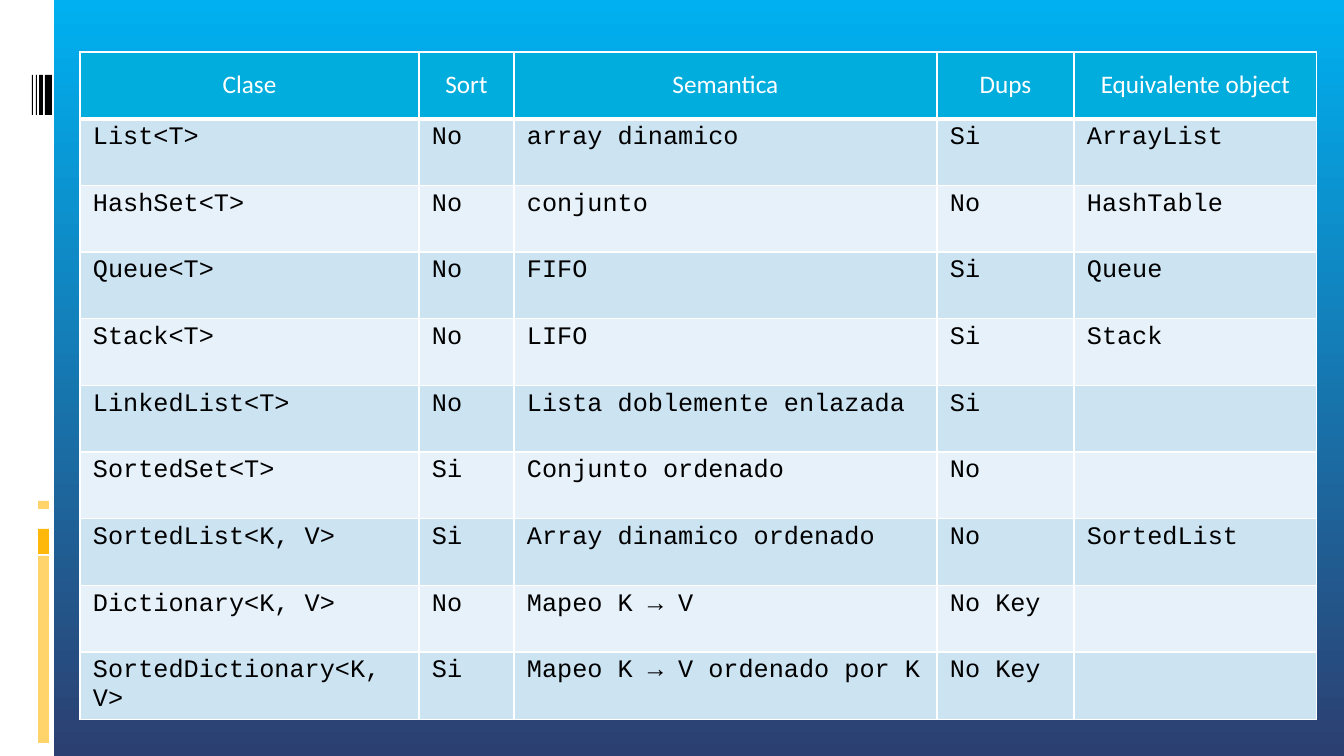
from pptx import Presentation, util as u
from pptx.dml.color import RGBColor
from pptx.enum import shapes, text
from pptx.oxml import parse_xml
from pptx.oxml.ns import nsdecls

WHITE, BLACK, GOLD, AMBER = "FFFFFF", "000000", "FED46B", "FEB80A"
HEAD, BANDS = "00ADDC", ("CCE3F2", "E7F1F9")
COLS = (339, 95, 423, 137, 243)
ROWS = (
    ("Clase", "Sort", "Semantica", "Dups", "Equivalente object"),
    ("List<T>", "No", "array dinamico", "Si", "ArrayList"),
    ("HashSet<T>", "No", "conjunto", "No", "HashTable"),
    ("Queue<T>", "No", "FIFO", "Si", "Queue"),
    ("Stack<T>", "No", "LIFO", "Si", "Stack"),
    ("LinkedList<T>", "No", "Lista doblemente enlazada", "Si", ""),
    ("SortedSet<T>", "Si", "Conjunto ordenado", "No", ""),
    ("SortedList<K, V>", "Si", "Array dinamico ordenado", "No", "SortedList"),
    ("Dictionary<K, V>", "No", "Mapeo K → V", "No Key", ""),
    ("SortedDictionary<K, V>", "Si", "Mapeo K → V ordenado por K", "No Key", ""),
)


def px(n):
    return u.Inches(n / 100.8)


def paint(color, code):
    color.rgb = RGBColor.from_string(code)


def write(frame, words, font, color, size=18, align=text.PP_ALIGN.LEFT):
    para = frame.paragraphs[0]
    para.alignment = align
    if words:
        run = para.add_run()
        run.text = words
        run.font.name, run.font.size = font, u.Pt(size)
        paint(run.font.color, color)


def bar(slide, left, top, width, height, color):
    box = slide.shapes.add_shape(
        shapes.MSO_SHAPE.RECTANGLE, px(left), px(top), px(width), px(height))
    box.shadow.inherit = False
    box.fill.solid()
    paint(box.fill.fore_color, color)
    box.line.fill.background()


def backdrop(slide):
    fill = slide.background.fill
    fill.gradient()
    fill.gradient_angle = 270
    for stop, code in zip(fill.gradient_stops, ("00B0F0", "2C3F71")):
        paint(stop.color, code)


def side(slide, left, top, width, height):
    bar(slide, left, top, width, height, WHITE)
    for y, tall, color in ((556, 187, GOLD), (529, 25, AMBER),
                           (511, 15, WHITE), (501, 8, GOLD)):
        bar(slide, left + 38, top + y, 11, tall, color)
    for x, wide in ((45, 7), (39, 4), (36, 1), (32, 1)):
        bar(slide, left + x, top + 75, wide, 40, BLACK)


def edge(cell, base):
    """Draw white cell borders, with the bottom one base points wide."""
    for name, wide in (("L", 1), ("R", 1), ("T", 1), ("B", base)):
        cell._tc.get_or_add_tcPr().append(parse_xml(
            f'<a:ln{name} {nsdecls("a")} w="{u.Pt(wide)}"><a:solidFill>'
            f'<a:srgbClr val="{WHITE}"/></a:solidFill></a:ln{name}>'))


def grid(slide, left, top, width, height):
    table = slide.shapes.add_table(
        len(ROWS), len(COLS), px(left), px(top), px(width), px(height)).table
    table.first_row = table.horz_banding = False
    for col, wide in zip(table.columns, COLS):
        col.width = px(wide)
    for r, row in enumerate(ROWS):
        for c, words in enumerate(row):
            cell = table.cell(r, c)
            cell.margin_left = cell.margin_right = px(13)
            cell.margin_top = cell.margin_bottom = px(5)
            edge(cell, 1 if r else 3)
            cell.fill.solid()
            paint(cell.fill.fore_color, BANDS[(r - 1) % 2] if r else HEAD)
            if r:
                write(cell.text_frame, words, "Courier New", BLACK)
            else:
                cell.vertical_anchor = text.MSO_ANCHOR.MIDDLE
                write(cell.text_frame, words, "Calibri", WHITE,
                      align=text.PP_ALIGN.CENTER)


def main():
    deck = Presentation()
    deck.slide_width, deck.slide_height = px(1344), px(756)
    slide = deck.slides.add_slide(deck.slide_layouts[6])
    backdrop(slide)
    side(slide, 0, 0, 54, 756)
    grid(slide, 80, 52, sum(COLS), 667)
    deck.save("out.pptx")


if __name__ == "__main__":
    main()
